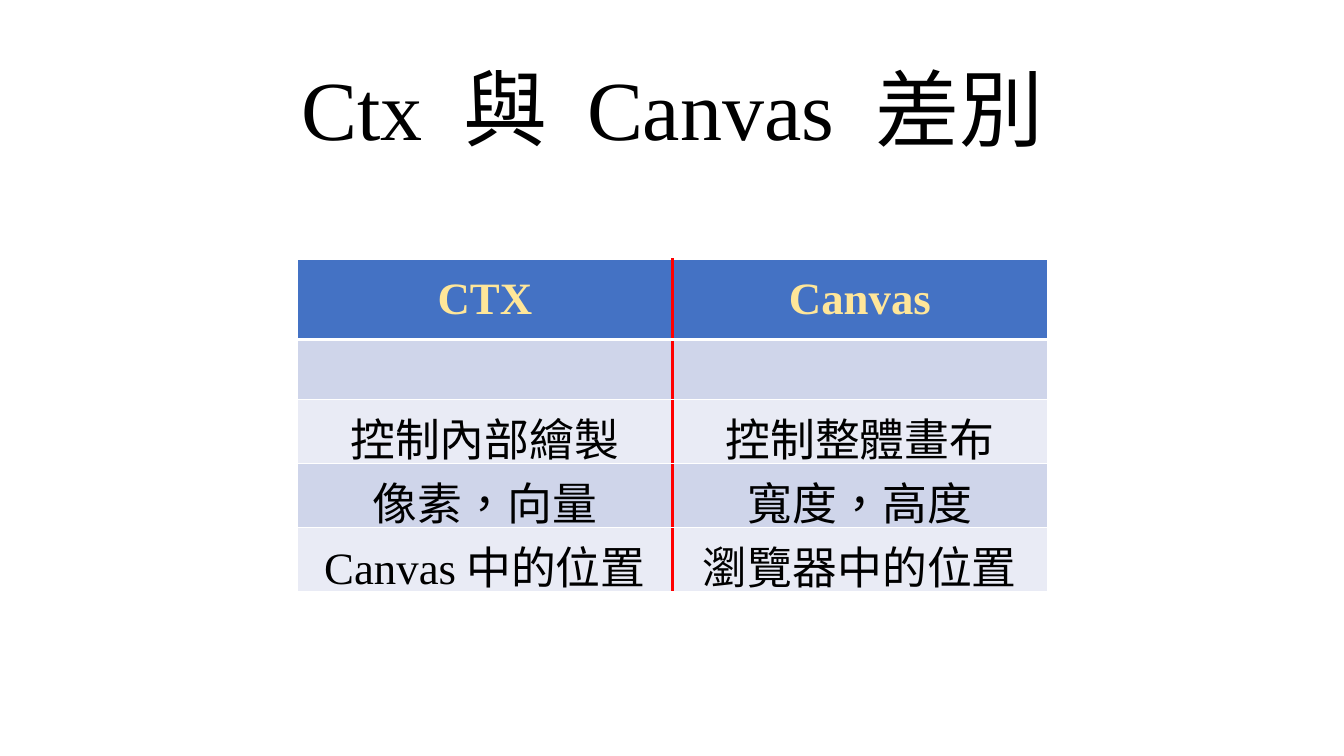
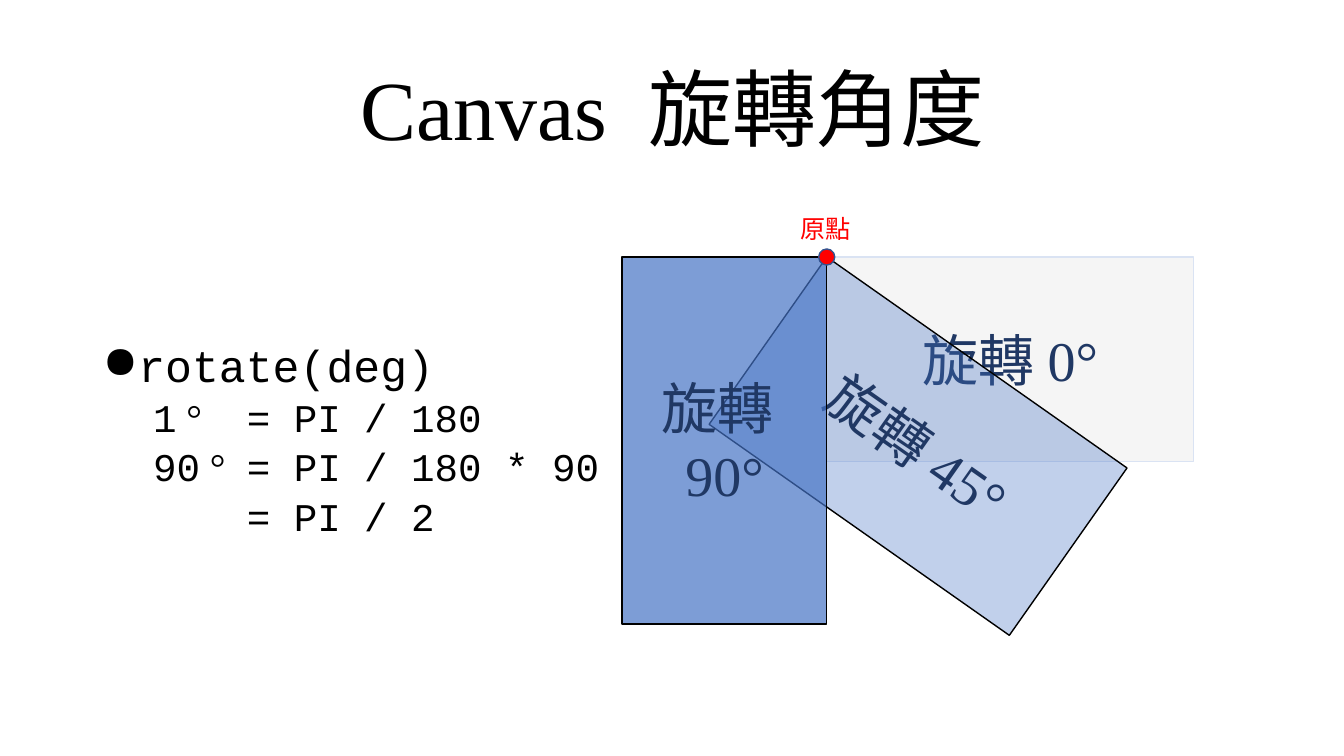
from collections import namedtuple
from math import cos, radians, sin

from lxml import etree
from pptx import Presentation
from pptx.dml.color import RGBColor
from pptx.enum.lang import MSO_LANGUAGE_ID as Language
from pptx.enum.shapes import MSO_SHAPE as Shape
from pptx.enum.text import MSO_ANCHOR as Anchor, PP_ALIGN as Align
from pptx.oxml.ns import qn
from pptx.util import Inches, Pt

Box = namedtuple("Box", "left top width height")

COLORS = {
    "black": "000000", "white": "FFFFFF", "red": "FF0000", "blue": "4472C4",
    "cream": "FFE699", "band_dark": "CFD5EA", "band_light": "E9EBF5",
    "navy": "203864", "pale_line": "DAE3F3", "dot_line": "325491",
}
SERIF, MONO = "Times New Roman", "Courier New"
PAGE = Box(0, 0, 13.33, 7.5)
TITLE = Box(0.92, 0.4, 11.5, 1.45)
BODY = Box(0.92, 2, 11.5, 4.76)
TABLE = Box(2.95, 2.57, 7.44, 3.19)
DIAGRAM = Box(6.17, 2.55, 5.67, 3.64)

HEADER = ("CTX", "Canvas")
ROWS = (
    ("", ""),
    ("控制內部繪製", "控制整體畫布"),
    ("像素，向量", "寬度，高度"),
    ("Canvas中的位置", "瀏覽器中的位置"),
)
FORMULAS = (("1", "= PI / 180"), ("90", "= PI / 180 * 90"), ("", "= PI / 2"))
ROTATIONS = (
    ("旋轉0°", 0, "black", 4, "pale_line"),
    ("旋轉45°", 35.1, "blue", 33, "black"),
    ("旋轉90°", 90, "blue", 69, "black"),
)


def color(name):
    """Return the named colour."""
    return RGBColor.from_string(COLORS[name])


def emu(box):
    """Return the four lengths of a box in slide units."""
    return [Inches(length) for length in box]


def style(paragraph, size, ink="black", face=SERIF, bold=False, align=Align.CENTER):
    """Set the font and alignment of a whole paragraph."""
    font = paragraph.font
    font.name, font.size, font.bold = face, Pt(size), bold
    font.color.rgb = color(ink)
    font.language_id = Language.TRADITIONAL_CHINESE
    paragraph.alignment = align


def add_text_box(slide, box, anchor=Anchor.TOP):
    """Add an empty wrapping text box and return its text frame."""
    frame = slide.shapes.add_textbox(*emu(box)).text_frame
    frame.word_wrap = True
    frame.vertical_anchor = anchor
    return frame


def add_shape(slide, kind, box, fill, line):
    """Add a preset shape without shadow."""
    shape = slide.shapes.add_shape(kind, *emu(box))
    shape.shadow.inherit = False
    shape.fill.solid()
    shape.fill.fore_color.rgb = color(fill)
    shape.line.color.rgb = color(line)
    shape.line.width = Pt(1)
    return shape


def add_titled_slide(presentation, title):
    """Add a blank slide with the shared title style."""
    slide = presentation.slides.add_slide(presentation.slide_layouts[6])
    paragraph = add_text_box(slide, TITLE, Anchor.MIDDLE).paragraphs[0]
    paragraph.text = title
    paragraph.line_spacing = 0.9
    style(paragraph, 60)
    return slide


def set_borders(cell, borders):
    """Draw cell borders given as (side, colour, points) in L, R, T, B order."""
    properties = cell._tc.get_or_add_tcPr()
    for index, (side, name, points) in enumerate(borders):
        line = etree.Element(qn(f"a:ln{side}"), w=str(Pt(points)))
        fill = etree.SubElement(line, qn("a:solidFill"))
        etree.SubElement(fill, qn("a:srgbClr"), val=COLORS[name])
        properties.insert(index, line)


def add_comparison(slide, box):
    """Add the two-column table with a red divider."""
    rows = (HEADER, *ROWS)
    table = slide.shapes.add_table(len(rows), len(HEADER), *emu(box)).table
    table.first_row = table.horz_banding = False
    edge, divider = ("white", 1), ("red", 3)
    for row, texts in enumerate(rows):
        is_header = row == 0
        table.rows[row].height = Inches(box.height * (0.25 if is_header else 0.75 / len(ROWS)))
        for column, text in enumerate(texts):
            cell = table.cell(row, column)
            cell.fill.solid()
            band = "band_dark" if row % 2 else "band_light"
            cell.fill.fore_color.rgb = color("blue" if is_header else band)
            left, right = (divider, edge) if column else (edge, divider)
            top = ("white", 3) if row == 1 else edge
            bottom = ("white", 3) if is_header else edge
            set_borders(cell, (("L", *left), ("R", *right), ("T", *top), ("B", *bottom)))
            if text:
                cell.vertical_anchor = Anchor.MIDDLE if is_header else Anchor.TOP
                paragraph = cell.text_frame.paragraphs[0]
                paragraph.text = text
                style(paragraph, 32, "cream" if is_header else "black", bold=is_header)


def set_indent(paragraph, margin, first_line):
    """Set the left margin and first-line indent in inches."""
    properties = paragraph._p.get_or_add_pPr()
    properties.set("marL", str(Inches(margin)))
    properties.set("indent", str(Inches(first_line)))
    return properties


def add_formulas(slide, box):
    """Add the rotate call and its angle formulas, aligned at the equals sign."""
    frame = add_text_box(slide, box, Anchor.MIDDLE)
    heading = frame.paragraphs[0]
    heading.text = "rotate(deg)"
    heading.line_spacing, heading.space_before = 0.9, Pt(10)
    style(heading, 32, face=MONO, align=Align.LEFT)
    bullet = etree.Element(qn("a:buChar"), char="●")
    set_indent(heading, 0.25, -0.25).find(qn("a:defRPr")).addprevious(bullet)
    for degrees, formula in FORMULAS:
        paragraph = frame.add_paragraph()
        paragraph.line_spacing, paragraph.space_before = 0.9, Pt(5)
        style(paragraph, 28, face=MONO, align=Align.LEFT)
        set_indent(paragraph, 1.43, -0.93 if degrees else 0)
        if degrees:
            paragraph.add_run().text = degrees
            sign = paragraph.add_run()
            sign.text = " °"
            sign.font.name = SERIF
            formula = "\t" + formula
        paragraph.add_run().text = formula


def add_rotations(slide, box):
    """Turn one rectangle about the origin point and mark that point."""
    length, breadth = box.height, box.width - box.height
    origin_x, origin_y = box.left + breadth, box.top
    for text, angle, fill, opacity, line in ROTATIONS:
        cosine, sine = cos(radians(angle)), sin(radians(angle))
        center_x = origin_x + (length * cosine - breadth * sine) / 2
        center_y = origin_y + (length * sine + breadth * cosine) / 2
        place = Box(center_x - length / 2, center_y - breadth / 2, length, breadth)
        shape = add_shape(slide, Shape.RECTANGLE, place, fill, line)
        shape.rotation = angle
        tint = shape.fill._xPr.find(qn("a:solidFill"))[0]
        etree.SubElement(tint, qn("a:alpha"), val=str(opacity * 1000))
        frame = shape.text_frame
        frame.word_wrap = True
        frame.vertical_anchor = Anchor.MIDDLE
        if angle == 90:
            frame._txBody.bodyPr.set("vert", "vert270")
        frame.paragraphs[0].text = text
        style(frame.paragraphs[0], 40, "navy")
    dot = 0.16
    place = Box(origin_x - dot / 2, origin_y - dot / 2, dot, dot)
    add_shape(slide, Shape.OVAL, place, "red", "dot_line")
    label = add_text_box(slide, Box(origin_x - 0.36, origin_y - 0.48, 0.87, 0.4))
    label.paragraphs[0].text = "原點"
    style(label.paragraphs[0], 18, "red", align=Align.LEFT)


def main():
    """Build and save the presentation."""
    presentation = Presentation()
    presentation.slide_width = Inches(PAGE.width)
    presentation.slide_height = Inches(PAGE.height)
    add_comparison(add_titled_slide(presentation, "Ctx 與 Canvas 差別"), TABLE)
    slide = add_titled_slide(presentation, "Canvas 旋轉角度")
    add_formulas(slide, BODY)
    add_rotations(slide, DIAGRAM)
    presentation.save("out.pptx")


if __name__ == "__main__":
    main()
